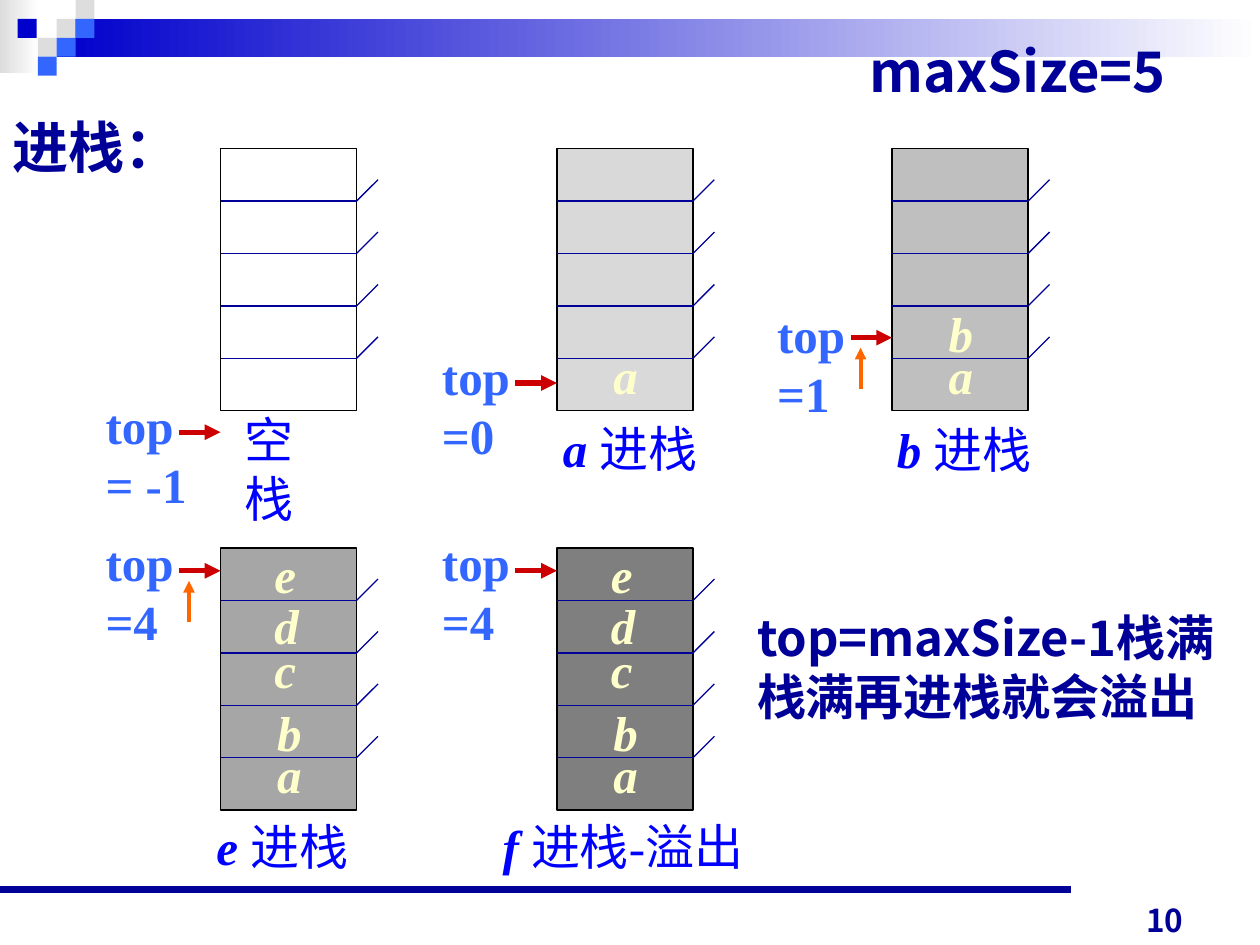
import pptx
import pptx.dml.color
import pptx.enum.shapes
import pptx.enum.text
import pptx.oxml
import pptx.oxml.ns
import pptx.util

Inches = pptx.util.Inches
SERIF, SANS, NUMBER = "Times New Roman", "Noto Sans CJK SC", "Noto Sans CJK JP"
NAVY, BLUE, SKY, GREY = "000099", "0000FF", "3366FF", "DDDDDD"
CREAM, RED, ORANGE = "FFFFCC", "CC0000", "FF6600"


def color(value):
    return pptx.dml.color.RGBColor.from_string(value)


class StackSlide:
    width, height, slots, tick = 1.08, 2.08, 5, 0.17
    # Offset of each pushed element from the top left of its stack
    elements = {"a": (0.35, 1.51), "b": (0.35, 1.18), "c": (0.33, 0.68),
                "d": (0.33, 0.33), "e": (0.33, -0.08)}

    def __init__(self, prs):
        self.s = prs.slides.add_slide(prs.slide_layouts[6])

    def rect(self, x, y, w, h, fill, fade=None, line=None):
        sp = self.s.shapes.add_shape(pptx.enum.shapes.MSO_SHAPE.RECTANGLE,
                                     Inches(x), Inches(y), Inches(w), Inches(h))
        sp.shadow.inherit = False
        if fade:
            sp.fill.gradient()
            sp.fill.gradient_angle = 0
            for stop, value in zip(sp.fill.gradient_stops, (fill, fade)):
                stop.color.rgb = color(value)
        else:
            sp.fill.solid()
            sp.fill.fore_color.rgb = color(fill)
        if line:
            sp.line.color.rgb = color(line)
            sp.line.width = pptx.util.Pt(0.75)
        else:
            sp.line.fill.background()

    def line(self, x1, y1, x2, y2, stroke=NAVY, weight=0.75, arrow=False):
        sp = self.s.shapes.add_connector(pptx.enum.shapes.MSO_CONNECTOR.STRAIGHT,
                                         Inches(x1), Inches(y1), Inches(x2), Inches(y2))
        sp.line.color.rgb = color(stroke)
        sp.line.width = pptx.util.Pt(weight)
        if arrow:
            ln = sp.line._get_or_add_ln()
            ln.append(pptx.oxml.parse_xml(
                '<a:tailEnd %s type="triangle"/>' % pptx.oxml.ns.nsdecls("a")))
        sp._element.spPr.append(pptx.oxml.parse_xml(
            "<a:effectLst %s/>" % pptx.oxml.ns.nsdecls("a")))

    def text(self, x, y, w, h, text, ink, size=28, font=SERIF, bold=True,
             italic=False, wrap=False):
        sp = self.s.shapes.add_textbox(Inches(x), Inches(y), Inches(w), Inches(h))
        tf = sp.text_frame
        tf.text = text
        tf.word_wrap = wrap
        tf.auto_size = pptx.enum.text.MSO_AUTO_SIZE.SHAPE_TO_FIT_TEXT
        for p in tf.paragraphs:
            for r in p.runs:
                self.style(r, ink, size, font, bold, italic)
        return tf

    def style(self, r, ink, size, font, bold, italic):
        r.font.name = font
        r.font.size = pptx.util.Pt(size)
        r.font.bold = bold
        r.font.italic = italic
        r.font.color.rgb = color(ink)
        east = SANS if font == SERIF else font
        r.font._element.append(pptx.oxml.parse_xml(
            '<a:ea %s typeface="%s"/>' % (pptx.oxml.ns.nsdecls("a"), east)))

    def stack(self, x, y, fill, pushed):
        self.rect(x, y, self.width, self.height, fill, line="000000")
        right = x + self.width
        for i in range(1, self.slots):
            level = y + i * self.height / self.slots
            self.line(x, level, right, level)
            self.line(right, level, right + self.tick, level - self.tick)
        for name in pushed:
            dx, dy = self.elements[name]
            self.text(x + dx, y + dy, 0.38, 0.57, name, CREAM, italic=True)

    def pointer(self, x, label_y, arrow_y, value, rising):
        w = 0.84 if "-" in value else 0.74
        self.text(x - 1.01, label_y, w, 1.04, "top\n" + value, SKY)
        self.line(x - 0.33, arrow_y, x, arrow_y, RED, 3, arrow=True)
        if rising:
            self.line(x - 0.25, arrow_y + 0.41, x - 0.25, arrow_y + 0.08,
                      ORANGE, 2.25, arrow=True)

    def caption(self, x, y, w, name, action):
        tf = self.text(x, y, w, 0.57, name, BLUE, italic=True)
        r = tf.paragraphs[0].add_run()
        r.text = action
        self.style(r, BLUE, 28, SERIF, False, False)


def main():
    prs = pptx.Presentation()
    prs.slide_width, prs.slide_height = Inches(10), Inches(7.5)
    slide = StackSlide(prs)

    # Header band and mosaic squares
    slide.rect(0, 0, 0.31, 0.58, GREY, fade="FFFFFF")
    slide.rect(0.45, 0.15, 9.55, 0.3, "0000CC", fade="FFFFFF")
    for x, y, fill in [(0.45, 0.15, GREY), (0.6, 0, GREY), (0.6, 0.15, SKY),
                       (0.3, 0.3, GREY), (0.14, 0.15, "0000CC"),
                       (0.45, 0.3, SKY), (0.3, 0.45, SKY)]:
        slide.rect(x, y, 0.15, 0.15, fill)

    # Footer rule and slide number
    slide.line(0, 7.06, 8.5, 7.06, weight=4.5)
    tf = slide.text(7.16, 7, 2.33, 0.5, "10", NAVY, 18, NUMBER, wrap=True)
    tf.auto_size = pptx.enum.text.MSO_AUTO_SIZE.NONE
    tf.vertical_anchor = pptx.enum.text.MSO_ANCHOR.BOTTOM
    tf.paragraphs[0].alignment = pptx.enum.text.PP_ALIGN.RIGHT

    # Stacks: left, top, fill, pushed, label y, arrow y, top value, rising
    for x, y, fill, pushed, label_y, arrow_y, value, rising in [
            (1.75, 1.18, "FFFFFF", "", 3.09, 3.43, "= -1", False),
            (4.42, 1.18, "D9D9D9", "a", 2.7, 3.04, "=0", False),
            (7.08, 1.18, "BFBFBF", "ab", 2.37, 2.68, "=1", True),
            (1.75, 4.35, "A6A6A6", "abcde", 4.18, 4.53, "=4", True),
            (4.42, 4.35, "7F7F7F", "abcde", 4.18, 4.53, "=4", False)]:
        slide.stack(x, y, fill, pushed)
        slide.pointer(x, label_y, arrow_y, value, rising)

    # Captions under the stacks
    slide.text(1.84, 3.2, 0.97, 0.57, "空栈", BLUE, bold=False)
    for x, y, w, name, action in [(4.37, 3.27, 1.36, "a ", "进栈"),
                                  (7.02, 3.28, 1.36, "b ", "进栈"),
                                  (1.62, 6.43, 1.34, "e ", "进栈"),
                                  (3.89, 6.43, 2.39, "f ", "进栈-溢出")]:
        slide.caption(x, y, w, name, action)

    # Headings and overflow remark
    for x, y, w, h, text, size in [
            (0, 0.84, 2.92, 0.64, "进栈：", 32),
            (5.91, 4.77, 4.09, 1.04, "top=maxSize-1栈满\n栈满再进栈就会溢出", 28),
            (6.8, 0.24, 3.2, 0.64, "maxSize=5", 32)]:
        slide.text(x, y, w, h, text, NAVY, size, SANS, wrap=True)

    prs.save("out.pptx")


if __name__ == "__main__":
    main()
